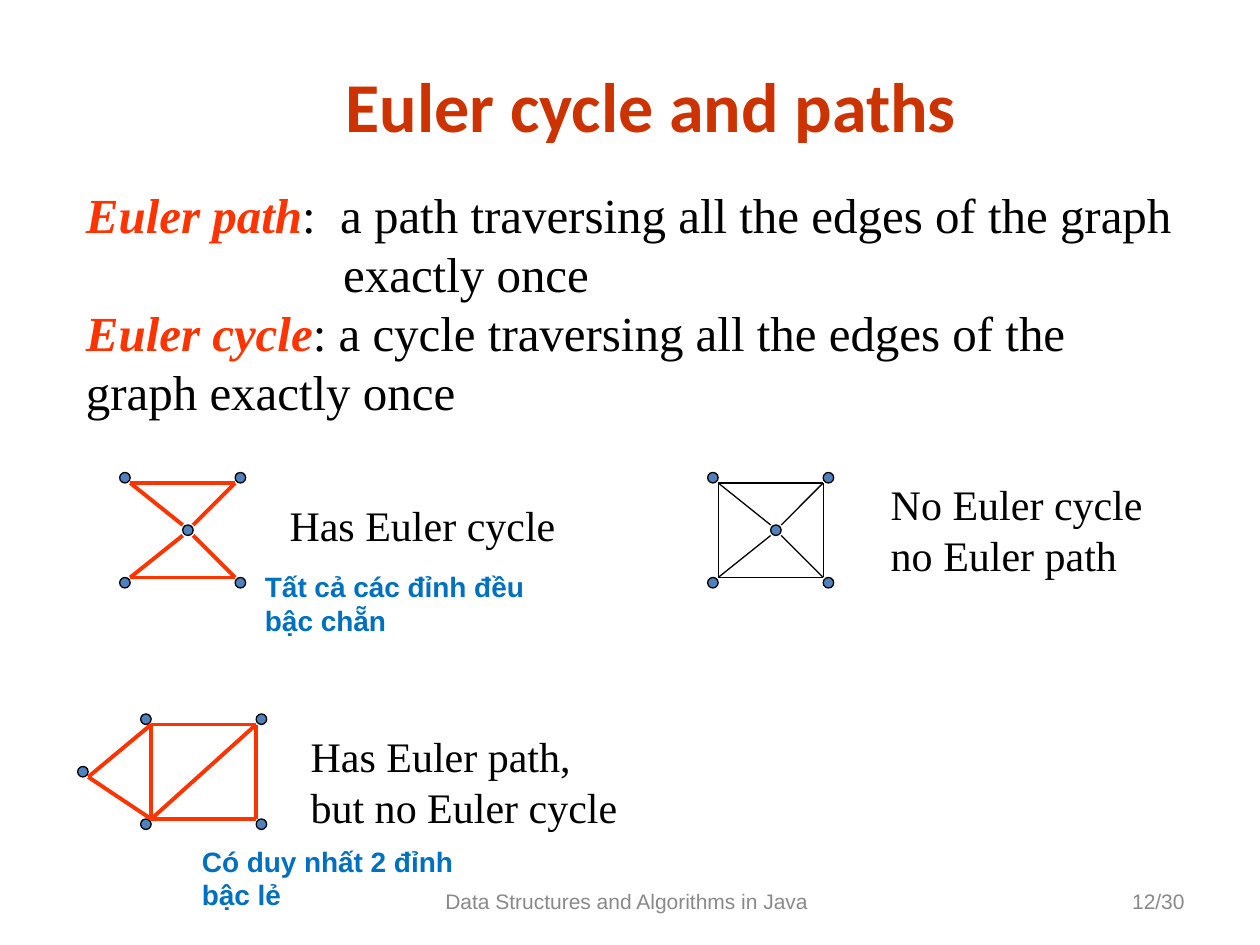
"""Build the slide on Euler cycles and paths on a 120 by 90 grid."""
from lxml import etree
from pptx import Presentation, util as u
from pptx.dml.color import RGBColor
from pptx.enum import shapes, text
from pptx.oxml import ns

COLORS = {"title": "CC3300", "accent": "FF3300", "body": "000000",
          "note": "0070C0", "footer": "898989", "node": "4F81BD"}
ALIGN, ANCHOR = text.PP_ALIGN, text.MSO_ANCHOR
CELL = u.Inches(10) / 120

STYLES = {
    "title": dict(font="Calibri", size=40, bold=True, align=ALIGN.CENTER, anchor=ANCHOR.MIDDLE),
    "body": dict(font="Times New Roman", size=28),
    "label": dict(font="Times New Roman", size=24, color="body"),
    "note": dict(font="Arial", size=16, bold=True),
    "footer": dict(font="Arial", size=12, align=ALIGN.CENTER, anchor=ANCHOR.MIDDLE),
    "number": dict(font="Arial", size=12, color="footer", align=ALIGN.RIGHT, anchor=ANCHOR.MIDDLE),
}
TEXTS = [
    ("footer", (37.7, 83.4, 44, 4.8), ["Data Structures and Algorithms in Java"]),
    ("number", (86, 83.4, 28, 4.8), ["12/30"]),
    ("title", (11, 5.4, 102, 9.2), ["Euler cycle and paths"]),
    ("label", (26.4, 47, 29, 6), ["Has Euler cycle"]),
    ("label", (28.4, 69, 33, 10.8), ["Has Euler path,", "but no Euler cycle"]),
    ("label", (83.65, 45, 28, 10.8), ["No Euler cycle", "no Euler path"]),
    ("note", (18.05, 79.8, 29.3, 7.7), ["Có duy nhất 2 đỉnh bậc lẻ"]),
    ("note", (24.05, 53.68, 32.3, 7.7), ["Tất cả các đỉnh đều bậc chẵn"]),
]
DEFINITIONS = [
    ("Euler path", [":  a path traversing all the edges of the graph", "exactly once"], 24.5),
    ("Euler cycle", [": a cycle traversing all the edges of the graph exactly once"], 0),
]
NODES = {"nw": (0, 0), "ne": (11, 0), "sw": (0, 10), "se": (11, 10),
         "mid": (6, 5), "apex": (-6, 5)}
PORTS = {"nw": (1, 1), "ne": (0, 1), "sw": (1, 0), "se": (0, 0), "apex": (1, 1)}
BOWTIE = ["nw ne", "ne mid", "mid sw", "sw se", "se mid", "mid nw"]
GRAPHS = [
    ((11.4, 45), "nw ne sw se mid", BOWTIE, "accent", 2.25),
    ((67.4, 45), "nw ne sw se mid", BOWTIE + ["nw sw", "ne se"], "body", 0.75),
    ((13.4, 68), "nw ne sw se apex",
     ["nw ne", "ne se", "se sw", "sw nw", "ne sw", "nw apex", "apex sw"], "accent", 2.25),
]


def grid(*cells):
    return [u.Emu(round(c * CELL)) for c in cells]


def rgb(name):
    return RGBColor.from_string(COLORS[name])


def add_box(s, style, at, paragraphs):
    look = STYLES[style]
    tf = s.shapes.add_textbox(*grid(*at)).text_frame
    tf.word_wrap = True
    tf.vertical_anchor = look.get("anchor", ANCHOR.TOP)
    for i, line in enumerate(paragraphs):
        p = tf.paragraphs[0] if i == 0 else tf.add_paragraph()
        p.text = line
        p.alignment = look.get("align", ALIGN.LEFT)
        p.font.name, p.font.size = look["font"], u.Pt(look["size"])
        p.font.bold = look.get("bold", False)
        p.font.color.rgb = rgb(look.get("color", style))
    return tf


def add_definitions(s):
    terms = [term for term, _, _ in DEFINITIONS]
    tf = add_box(s, "body", (7, 17, 106, 29.3), terms)
    for p, (_, meaning, hang) in zip(tf.paragraphs, DEFINITIONS):
        r = p.runs[0]
        r.font.bold = r.font.italic = True
        r.font.color.rgb = rgb("accent")
        for i, line in enumerate(meaning):
            if i:
                p.add_line_break()
            p.add_run().text = line
        margin = grid(hang)[0]
        pPr = p._p.get_or_add_pPr()
        pPr.set("marL", str(margin))
        pPr.set("indent", str(-margin))


def port(origin, node, other):
    corner = PORTS.get(node) or [1 - c for c in PORTS[other]]
    return grid(*(sum(parts) for parts in zip(origin, NODES[node], corner)))


def add_graph(s, origin, nodes, edges, color, width):
    for node in nodes.split():
        x, y = (sum(parts) for parts in zip(origin, NODES[node]))
        sp = s.shapes.add_shape(shapes.MSO_SHAPE.OVAL, *grid(x, y, 1, 1))
        sp.shadow.inherit = False
        sp.fill.solid()
        sp.fill.fore_color.rgb = rgb("node")
        sp.line.color.rgb = rgb("body")
        sp.line.width = u.Pt(0.75)
    for edge in edges:
        a, b = edge.split()
        cx = s.shapes.add_connector(shapes.MSO_CONNECTOR.STRAIGHT,
                                    *port(origin, a, b), *port(origin, b, a))
        cx.line.color.rgb = rgb(color)
        cx.line.width = u.Pt(width)
        etree.SubElement(cx._element.spPr, ns.qn("a:effectLst"))


def main():
    prs = Presentation()
    prs.slide_width, prs.slide_height = grid(120, 90)
    s = prs.slides.add_slide(prs.slide_layouts[6])
    add_definitions(s)
    for graph in GRAPHS:
        add_graph(s, *graph)
    for box in TEXTS:
        add_box(s, *box)
    prs.save("out.pptx")


if __name__ == "__main__":
    main()
